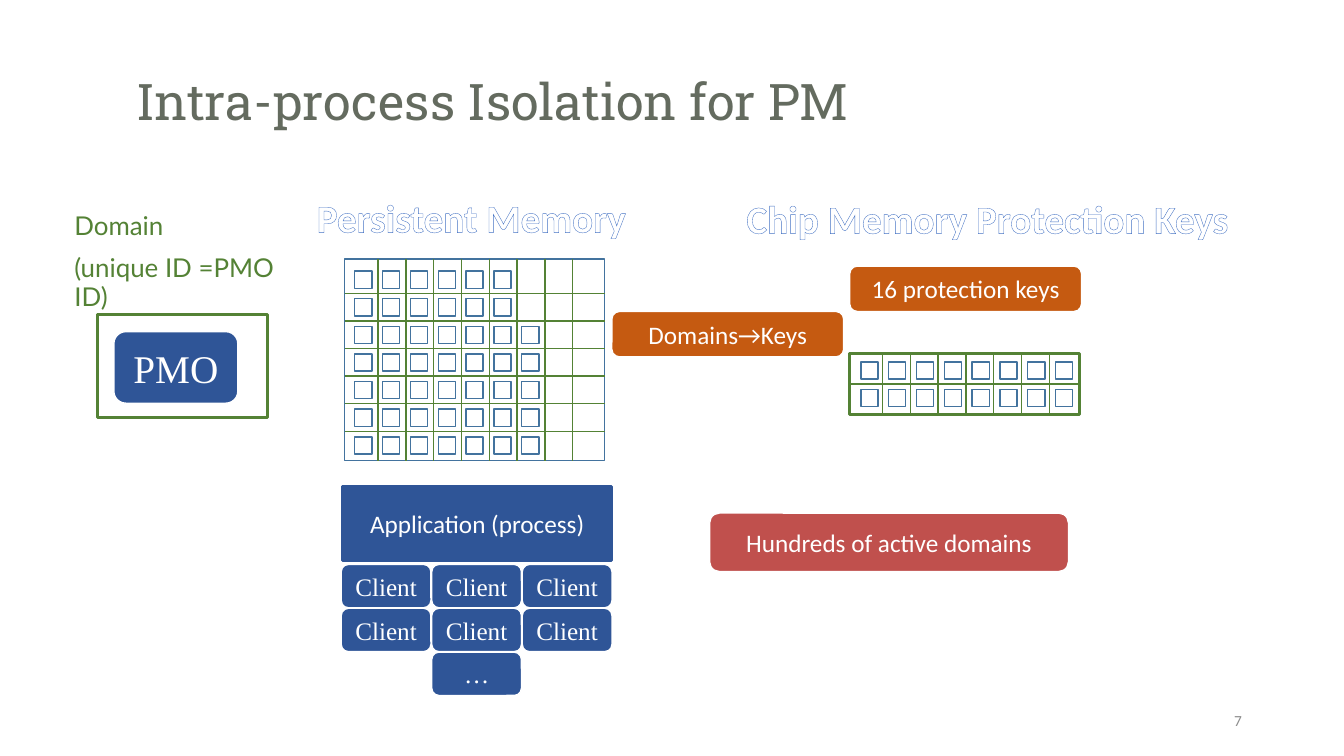
from dataclasses import dataclass
from typing import Optional

from lxml.etree import SubElement
from pptx import Presentation
from pptx.dml.color import RGBColor
from pptx.enum.shapes import MSO_CONNECTOR as Connector, MSO_SHAPE as Shape
from pptx.enum.text import MSO_ANCHOR as Anchor, MSO_AUTO_SIZE as AutoSize, PP_ALIGN as Align
from pptx.oxml import parse_xml
from pptx.oxml.ns import nsdecls, qn
from pptx.util import Emu, Inches, Pt

# Layout grid: every column and row is a tenth of an inch
CELL = Inches(0.1)
SLIDE_COLUMNS, SLIDE_ROWS = 133.33, 75

# Pitch of the memory pages, in grid columns and rows
PAGE_COLUMN, PAGE_ROW, PAGE_SIDE = 2.76, 2.74, 1.7

WHITE, BLUE, GREEN, ORANGE, RED = "FFFFFF", "2F5597", "548235", "C55A11", "C0504D"
PAGE_BLUE, HEADING_BLUE, TITLE_GREY, NUMBER_GREY = "43739E", "4472C4", "646B5F", "8C8C8C"
SANS, SERIF = "Calibri", "Times New Roman"


@dataclass(frozen=True)
class Box:
    column: float
    row: float
    columns: float
    rows: float

    def lengths(self) -> tuple:
        return tuple(cells(n) for n in (self.column, self.row, self.columns, self.rows))


@dataclass(frozen=True)
class Label:
    text: str
    box: Box
    fill: str
    font: str = SANS
    size: float = 18
    kind: Shape = Shape.ROUNDED_RECTANGLE
    line: str = WHITE
    line_width: float = 1


@dataclass(frozen=True)
class PageTable:
    frame: Box
    frame_line: str
    frame_width: float
    first_divider: tuple[float, float]
    dividers: tuple[int, int]
    first_page: tuple[float, float]
    pages_per_row: tuple[int, ...]


@dataclass(frozen=True)
class Heading:
    text: str
    box: Box


def cells(count: float) -> Emu:
    return Emu(round(count * CELL))


def color(value: str) -> RGBColor:
    return RGBColor.from_string(value)


def write(frame, text: str, *, font: str, size: float, fill: str, align=Align.LEFT,
          anchor=Anchor.TOP, bold: bool = False, spacing: Optional[float] = None,
          before: Optional[float] = None, outline: Optional[str] = None) -> None:
    """Fill a text frame, one paragraph for each line of text."""
    frame.word_wrap = True
    frame.vertical_anchor = anchor
    for index, line in enumerate(text.split("\n")):
        paragraph = frame.add_paragraph() if index else frame.paragraphs[0]
        paragraph.alignment = align
        if spacing is not None:
            paragraph.line_spacing = spacing
        if before is not None:
            paragraph.space_before = Pt(before)
        run = paragraph.add_run()
        run.text = line
        run.font.name, run.font.size, run.font.bold = font, Pt(size), bold
        run.font.color.rgb = color(fill)
        if outline:
            run.font._element.insert(0, parse_xml(
                f'<a:ln {nsdecls("a")} w="{Pt(0.8)}"><a:solidFill>'
                f'<a:srgbClr val="{outline}"/></a:solidFill></a:ln>'))


def add_text(slide, text: str, box: Box, **style):
    shape = slide.shapes.add_textbox(*box.lengths())
    write(shape.text_frame, text, **style)
    return shape


def add_block(slide, box: Box, *, line: str, width: float = 1,
              fill: Optional[str] = None, kind: Shape = Shape.RECTANGLE):
    shape = slide.shapes.add_shape(kind, *box.lengths())
    shape.shadow.inherit = False
    shape.line.color.rgb, shape.line.width = color(line), Pt(width)
    if fill:
        shape.fill.solid()
        shape.fill.fore_color.rgb = color(fill)
    else:
        shape.fill.background()
    return shape


def add_label(slide, label: Label) -> None:
    shape = add_block(slide, label.box, line=label.line, width=label.line_width,
                      fill=label.fill, kind=label.kind)
    write(shape.text_frame, label.text, font=label.font, size=label.size,
          fill=WHITE, align=Align.CENTER, anchor=Anchor.MIDDLE)


def add_divider(slide, start: tuple[float, float], end: tuple[float, float]) -> None:
    line = slide.shapes.add_connector(Connector.STRAIGHT, *map(cells, start + end))
    line.line.color.rgb, line.line.width = color(GREEN), Pt(1)
    SubElement(line._element.spPr, qn("a:effectLst"))


def add_page_table(slide, table: PageTable) -> None:
    frame = table.frame
    right, bottom = frame.column + frame.columns, frame.row + frame.rows
    add_block(slide, frame, line=table.frame_line, width=table.frame_width)
    for row, count in enumerate(table.pages_per_row):
        for column in range(count):
            page = Box(table.first_page[0] + column * PAGE_COLUMN,
                       table.first_page[1] + row * PAGE_ROW, PAGE_SIDE, PAGE_SIDE)
            add_block(slide, page, line=PAGE_BLUE, fill=WHITE)
    for index in range(table.dividers[0]):
        x = table.first_divider[0] + index * PAGE_COLUMN
        add_divider(slide, (x, frame.row), (x, bottom))
    for index in range(table.dividers[1]):
        y = table.first_divider[1] + index * PAGE_ROW
        add_divider(slide, (frame.column, y), (right, y))


HEADINGS = (
    Heading("Persistent Memory", Box(24.9, 18.7, 43.7, 5.7)),
    Heading("Chip Memory Protection Keys", Box(67.2, 18.8, 61.5, 5.7)),
)
PAGE_TABLES = (
    PageTable(Box(34.2, 25.7, 25.8, 20), PAGE_BLUE, 1, (37.5, 29.1), (8, 6),
              (35.2, 26.9), (6, 6, 7, 7, 7, 7, 7)),
    PageTable(Box(84.3, 35.1, 22.8, 6), GREEN, 2.25, (87.55, 38.1), (7, 1),
              (85.4, 35.9), (8, 8)),
)
LABELS = (
    Label("PMO", Box(11.3, 32.9, 12.3, 7.1), BLUE, SERIF, 28),
    Label("16 protection keys", Box(84.3, 26.4, 23, 4.5), ORANGE),
    Label("Domains→Keys", Box(60.7, 30.9, 23, 4.5), ORANGE),
    Label("Application (process)", Box(34, 48.3, 26.7, 7.3), BLUE,
          kind=Shape.RECTANGLE, line=BLUE, line_width=2.25),
    Label("Hundreds of active domains", Box(70.4, 50.9, 35.6, 5.8), RED),
)
CLIENT_ROWS = (("Client",) * 3, ("Client",) * 3, (None, "…", None))


def main() -> None:
    presentation = Presentation()
    presentation.slide_width = cells(SLIDE_COLUMNS)
    presentation.slide_height = cells(SLIDE_ROWS)
    slide = presentation.slides.add_slide(presentation.slide_layouts[5])

    # Title and slide number
    title = slide.shapes.title
    title.left, title.top, title.width, title.height = Box(12.5, 6.8, 108.3, 7.1).lengths()
    write(title.text_frame, "Intra-process Isolation for PM", font="Roboto Slab",
          size=36, fill=TITLE_GREY, anchor=Anchor.MIDDLE, spacing=0.9)
    title.text_frame.auto_size = AutoSize.NONE
    add_text(slide, "7", Box(94.2, 69.5, 30, 4), font=SANS, size=11,
             fill=NUMBER_GREY, align=Align.RIGHT, anchor=Anchor.MIDDLE)

    # Outlined headings
    for heading in HEADINGS:
        shape = add_text(slide, heading.text, heading.box, font=SANS, size=28, fill=WHITE,
                         bold=True, align=Align.CENTER, outline=HEADING_BLUE)
        shape.text_frame.auto_size = AutoSize.SHAPE_TO_FIT_TEXT

    # Memory pages and protection keys
    for table in PAGE_TABLES:
        add_page_table(slide, table)

    # Domain frame and its caption
    add_block(slide, Box(9.7, 31.2, 16.8, 10.2), line=GREEN, width=2.25)
    add_text(slide, "Domain\n(unique ID =PMO ID)", Box(6.4, 20.7, 23.3, 9),
             font="Lato", size=18.5, fill=GREEN, spacing=0.9, before=10)

    # Labelled blocks
    for label in LABELS:
        add_label(slide, label)

    # Clients of the application
    for row, names in enumerate(CLIENT_ROWS):
        for column, name in enumerate(names):
            if name:
                box = Box(33.85 + column * 8.98, 56 + row * 4.35, 8.9, 4.3)
                add_label(slide, Label(name, box, BLUE, SERIF))

    presentation.save("out.pptx")


if __name__ == "__main__":
    main()
